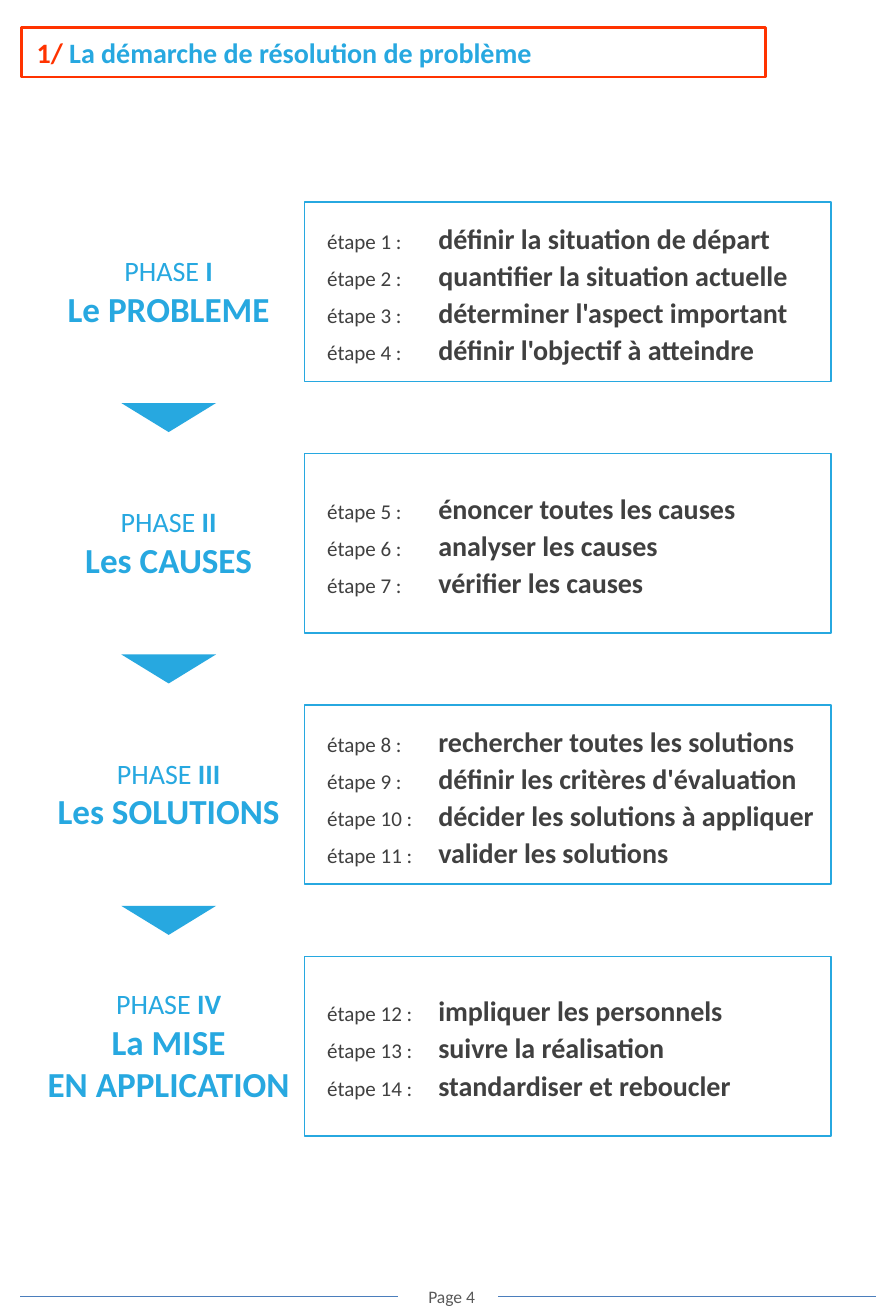
import pptx
import pptx.util
import pptx.dml.color
import pptx.enum.shapes
import pptx.enum.text
import pptx.oxml
import pptx.oxml.ns

# Content
TITLE = ("1/ ", "La démarche de résolution de problème")
PHASES = [
    ("I", ["Le PROBLEME"], [
        "définir la situation de départ",
        "quantifier la situation actuelle",
        "déterminer l'aspect important",
        "définir l'objectif à atteindre"]),
    ("II", ["Les CAUSES"], [
        "énoncer toutes les causes",
        "analyser les causes",
        "vérifier les causes"]),
    ("III", ["Les SOLUTIONS"], [
        "rechercher toutes les solutions",
        "définir les critères d'évaluation",
        "décider les solutions à appliquer",
        "valider les solutions"]),
    ("IV", ["La MISE", "EN APPLICATION"], [
        "impliquer les personnels",
        "suivre la réalisation",
        "standardiser et reboucler"]),
]
FOOTER = "Page 4"


class Theme:
    font = "Calibri"
    blue, red, dark = "27A8E0", "FF3300", "404040"
    grey, rule, white = "595959", "4B7EBC", "FFFFFF"
    small, step, body, name = 10, 12, 16, 20


# Page size in points, layout in inches
PAGE_W, PAGE_H = 510, 750
TOP, PITCH = 1.6, 1.99
BOX_X, BOX_W, BOX_H = 2.41, 4.17, 1.42
NAME_X, NAME_W, NAME_H, NAME_LINE = 0.23, 2.21, 0.71, 0.33
ARROW_W, ARROW_H, ARROW_GAP = 0.75, 0.23, 0.17

Inches, Pt = pptx.util.Inches, pptx.util.Pt
SHAPE = pptx.enum.shapes.MSO_SHAPE
ALIGN = pptx.enum.text.PP_ALIGN
ANCHOR = pptx.enum.text.MSO_ANCHOR


def rgb(code):
    return pptx.dml.color.RGBColor.from_string(code)


def style(font, size, color=None, bold=None):
    font.name = Theme.font
    font.size = Pt(size)
    if color:
        font.color.rgb = rgb(color)
    if bold is not None:
        font.bold = bold


def add_run(para, text, size, color, bold=None):
    run = para.add_run()
    run.text = text
    style(run.font, size, color, bold)


def set_frame(frame, anchor, left, top, right, bottom):
    frame.word_wrap = True
    frame.auto_size = pptx.enum.text.MSO_AUTO_SIZE.NONE
    frame.vertical_anchor = anchor
    frame.margin_left, frame.margin_top = Inches(left), Inches(top)
    frame.margin_right, frame.margin_bottom = Inches(right), Inches(bottom)


def add_shape(slide, kind, place, fill=None, line=None, width=1):
    shape = slide.shapes.add_shape(kind, *map(Inches, place))
    shape.shadow.inherit = False
    if fill:
        shape.fill.solid()
        shape.fill.fore_color.rgb = rgb(fill)
    else:
        shape.fill.background()
    if line:
        shape.line.color.rgb = rgb(line)
        shape.line.width = Pt(width)
    else:
        shape.line.fill.background()
    return shape


def add_footer(slide):
    rule = slide.shapes.add_connector(
        pptx.enum.shapes.MSO_CONNECTOR.STRAIGHT,
        *map(Inches, (0.16, 10.26, 6.93, 10.26)))
    rule.line.color.rgb = rgb(Theme.rule)
    rule.line.width = Pt(0.75)
    rule._element.spPr.append(pptx.oxml.parse_xml(
        "<a:effectLst %s/>" % pptx.oxml.ns.nsdecls("a")))
    page = add_shape(slide, SHAPE.RECTANGLE, (3.15, 10.11, 0.79, 0.3),
                     fill=Theme.white)
    set_frame(page.text_frame, ANCHOR.MIDDLE, 0.1, 0.05, 0.04, 0.05)
    para = page.text_frame.paragraphs[0]
    para.text = FOOTER
    para.alignment = ALIGN.CENTER
    style(para.font, Theme.small, Theme.grey)


def add_title(slide):
    title = slide.shapes.title
    title.left, title.top, title.width, title.height = map(
        Inches, (0.25, 0.24, 6.38, 0.35))
    set_frame(title.text_frame, ANCHOR.TOP, 0.04, 0.04, 0.04, 0.04)
    para = title.text_frame.paragraphs[0]
    para.alignment = ALIGN.LEFT
    for text, color in zip(TITLE, (Theme.red, Theme.blue)):
        add_run(para, text, Theme.body, color, True)
    add_shape(slide, SHAPE.RECTANGLE, (0.17, 0.22, 5.89, 0.39),
              line=Theme.red, width=1.5)


def add_name(slide, mid, numeral, lines):
    high = NAME_H + NAME_LINE * (len(lines) - 1)
    box = slide.shapes.add_textbox(
        *map(Inches, (NAME_X, mid - high / 2, NAME_W, high)))
    frame = box.text_frame
    set_frame(frame, ANCHOR.TOP, 0.1, 0.05, 0.1, 0.05)
    para = frame.paragraphs[0]
    para.alignment = ALIGN.CENTER
    add_run(para, "PHASE ", Theme.body, Theme.blue)
    add_run(para, numeral, Theme.body, Theme.blue, True)
    for line in lines:
        para = frame.add_paragraph()
        para.text = line
        para.alignment = ALIGN.CENTER
        style(para.font, Theme.name, Theme.blue, True)


def add_steps(slide, top, steps, start):
    box = add_shape(slide, SHAPE.RECTANGLE, (BOX_X, top, BOX_W, BOX_H),
                    line=Theme.blue)
    frame = box.text_frame
    set_frame(frame, ANCHOR.MIDDLE, 0.08, 0.08, 0.08, 0.08)
    for i, step in enumerate(steps):
        para = frame.add_paragraph() if i else frame.paragraphs[0]
        para.alignment = ALIGN.LEFT
        para.line_spacing = 1.1
        # Hanging indent lines up the step texts
        props = para._p.get_or_add_pPr()
        props.set("marL", str(Inches(0.98)))
        props.set("indent", str(Inches(-0.88)))
        add_run(para, f"étape {start + i} :", Theme.step, Theme.dark)
        add_run(para, " \t", Theme.body, Theme.dark)
        add_run(para, step, Theme.body, Theme.dark, True)


def main():
    deck = pptx.Presentation()
    deck.slide_width, deck.slide_height = Pt(PAGE_W), Pt(PAGE_H)
    slide = deck.slides.add_slide(deck.slide_layouts.get_by_name("Title Only"))
    add_footer(slide)
    add_title(slide)

    # One row per phase, with an arrow between rows
    start = 1
    for row, (numeral, lines, steps) in enumerate(PHASES):
        top = TOP + row * PITCH
        add_name(slide, top + BOX_H / 2, numeral, lines)
        add_steps(slide, top, steps, start)
        start += len(steps)
        if row < len(PHASES) - 1:
            arrow = add_shape(
                slide, SHAPE.ISOSCELES_TRIANGLE,
                (NAME_X + (NAME_W - ARROW_W) / 2, top + BOX_H + ARROW_GAP,
                 ARROW_W, ARROW_H), fill=Theme.blue)
            arrow.rotation = 180
    deck.save("out.pptx")


if __name__ == "__main__":
    main()
